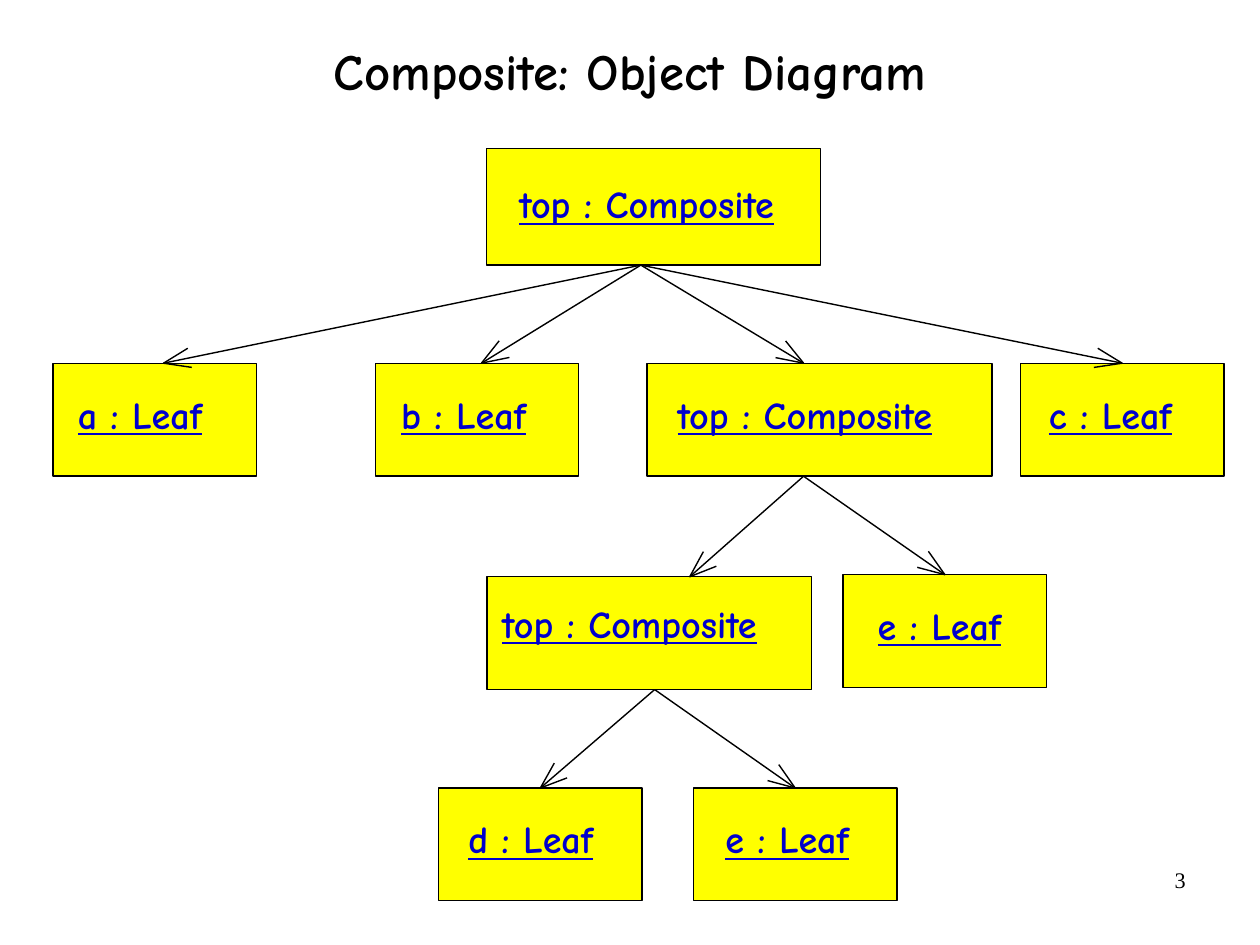
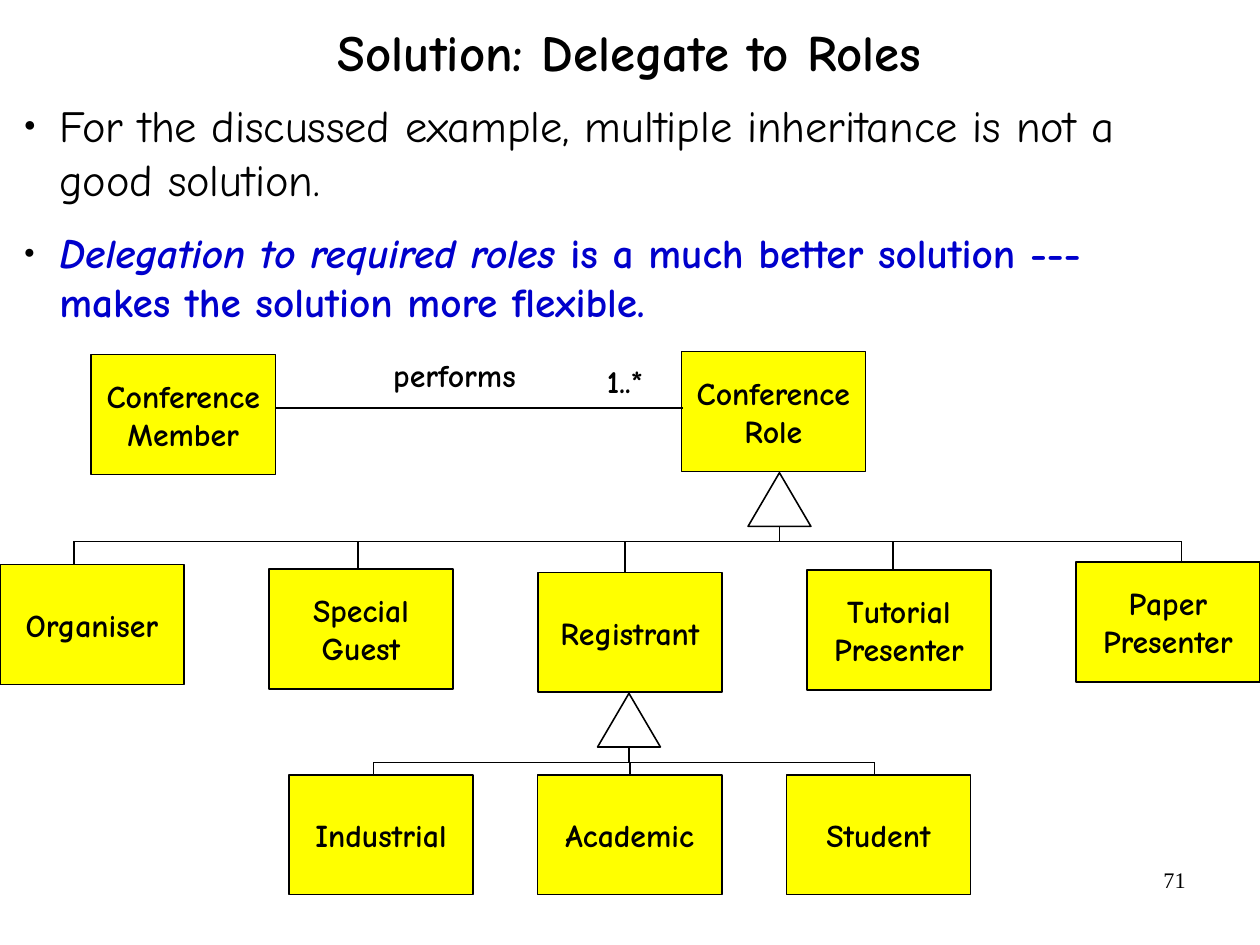
import math
from lxml import etree
from pptx import Presentation
from pptx.dml.color import RGBColor
from pptx.enum import shapes, text
from pptx.oxml import ns
from pptx.util import Pt

COLORS = {"ink": "000000", "accent": "0000CC", "box": "FFFF00", "paper": "FFFFFF"}
RGB = {name: RGBColor.from_string(value) for name, value in COLORS.items()}
FONT, NUMBER_FONT = "Comic Neue", "Times New Roman"
WIDTH, HEIGHT = 793.7, 595.28
LEFT, CENTER, RIGHT = text.PP_ALIGN.LEFT, text.PP_ALIGN.CENTER, text.PP_ALIGN.RIGHT
TOP, MIDDLE = text.MSO_ANCHOR.TOP, text.MSO_ANCHOR.MIDDLE
SNAP = 2  # a line this near to the middle of a side is joined to it


def label(slide, words, x, y, w, h, size, outline=None, color="ink", font=FONT,
          bold=True, underline=None, align=CENTER, anchor=MIDDLE,
          inset=(4, 4, 4, 4), spacing=None):
    """Text in a yellow rectangle if an outline width is given, else on its own."""
    place = [Pt(v) for v in (x, y, w, h)]
    if outline:
        holder = slide.shapes.add_shape(shapes.MSO_SHAPE.RECTANGLE, *place)
        holder.shadow.inherit = False
        holder.fill.solid()
        holder.fill.fore_color.rgb = RGB["box"]
        holder.line.color.rgb = RGB["ink"]
        holder.line.width = Pt(outline)
    else:
        holder = slide.shapes.add_textbox(*place)
    frame = holder.text_frame
    frame.text = words
    frame.word_wrap = True
    frame.vertical_anchor = anchor
    (frame.margin_left, frame.margin_top,
     frame.margin_right, frame.margin_bottom) = [Pt(v) for v in inset]
    for paragraph in frame.paragraphs:
        paragraph.alignment = align
        paragraph.line_spacing = spacing
        paragraph.font.name = font
        paragraph.font.size = Pt(size)
        paragraph.font.bold = bold
        paragraph.font.underline = underline
        paragraph.font.color.rgb = RGB[color]
    return holder


def line(slide, x1, y1, x2, y2, width):
    link = slide.shapes.add_connector(
        shapes.MSO_CONNECTOR.STRAIGHT, Pt(x1), Pt(y1), Pt(x2), Pt(y2))
    link.line.color.rgb = RGB["ink"]
    link.line.width = Pt(width)
    etree.SubElement(link._element.spPr, ns.qn("a:effectLst"))
    return link


deck = Presentation()
deck.slide_width, deck.slide_height = Pt(WIDTH), Pt(HEIGHT)

# Titles and page numbers
pages = []
for title, title_top, number in [("Composite: Object Diagram", 12, "3"),
                                 ("Solution: Delegate to Roles", 0, "71")]:
    page = deck.slides.add_slide(deck.slide_layouts[6])
    label(page, title, 0, title_top, WIDTH, 70, 32, spacing=0.88)
    label(page, number, 569, 542, 185, 41, 14, font=NUMBER_FONT, bold=False,
          align=RIGHT, anchor=TOP, inset=(7.2, 3.6, 7.2, 3.6))
    pages.append(page)
object_page, roles_page = pages

# Object diagram: key, words, left, top, width, height, text indent, text drop
LEAF_W, BOX_H = 128.2, 71
ROW_1, ROW_2, ROW_3 = 228.8, 362, 496.4
objects = {}
for key, words, x, y, w, h, indent, drop in [
    ("root", "top : Composite", 306.5, 93.5, 210.2, 73.4, 20.7, 23.6),
    ("a", "a : Leaf", 33.5, ROW_1, LEAF_W, BOX_H, 15.5, 20.9),
    ("b", "b : Leaf", 236.4, ROW_1, LEAF_W, BOX_H, 16.3, 20.9),
    ("branch", "top : Composite", 407.5, ROW_1, 217.4, BOX_H, 19.3, 20.9),
    ("c", "c : Leaf", 642.8, ROW_1, LEAF_W, BOX_H, 17.9, 20.9),
    ("twig", "top : Composite", 306.7, 363.3, 204.5, BOX_H, 9.7, 17.9),
    ("e", "e : Leaf", 531.1, ROW_2, LEAF_W, BOX_H, 21.7, 20.7),
    ("d", "d : Leaf", 276.3, ROW_3, LEAF_W, BOX_H, 18.7, 20.7),
    ("e2", "e : Leaf", 436.8, ROW_3, LEAF_W, BOX_H, 20.1, 20.7),
]:
    objects[key] = label(
        object_page, words, x, y, w, h, 24, outline=0.88, color="accent",
        underline=True, align=LEFT, anchor=TOP, inset=(indent, drop, 0, 0), spacing=0.9)

# Arrows from each composite to its children, with open heads
HEAD_LENGTH, HEAD_ANGLE = 18, math.radians(20)
for start_x, start_y, children in [
    (403.7, 167, [("a", 103), ("b", 303.3), ("branch", 506.2), ("c", 705.4)]),
    (506.2, 300, [("twig", 434.5), ("e", 594.7)]),
    (412.4, 434.4, [("d", 340.6), ("e2", 501)]),
]:
    for key, tip_x in children:
        child = objects[key]
        tip_y = child.top.pt
        middle = child.left.pt + child.width.pt / 2
        joined = abs(tip_x - middle) < SNAP
        if joined:
            tip_x = middle
        arrow = line(object_page, start_x, start_y, tip_x, tip_y, 0.88)
        if joined:
            arrow.end_connect(child, 0)
        back = math.atan2(start_y - tip_y, start_x - tip_x)
        barbs = [(Pt(tip_x + HEAD_LENGTH * math.cos(back + turn)),
                  Pt(tip_y + HEAD_LENGTH * math.sin(back + turn)))
                 for turn in (-HEAD_ANGLE, HEAD_ANGLE)]
        outline = object_page.shapes.build_freeform(*barbs[0])
        outline.add_line_segments([(Pt(tip_x), Pt(tip_y)), barbs[1]], close=False)
        head = outline.convert_to_shape()
        head.shadow.inherit = False
        head.fill.background()
        head.line.color.rgb = RGB["ink"]
        head.line.width = Pt(0.88)

# Bulleted argument
argument = roles_page.shapes.add_textbox(Pt(7.2), Pt(58.5), Pt(757.4), Pt(150.5)).text_frame
argument.word_wrap = True
argument.margin_left = argument.margin_right = Pt(7.9)
argument.margin_top = argument.margin_bottom = Pt(3.6)
points = [
    (28, "ink", False,
     [("For the discussed example, multiple inheritance is not a good solution.", False)]),
    (26, "accent", True,
     [("Delegation to required roles", True),
      (" is a much better solution --- makes the solution more flexible.", False)]),
]
for index, (size, color, bold, parts) in enumerate(points):
    point = argument.add_paragraph() if index else argument.paragraphs[0]
    point.space_after = Pt(13.8)
    props = point._p.get_or_add_pPr()
    props.set("marL", str(Pt(22.3)))
    props.set("indent", str(-Pt(22.3)))
    bullet_color = etree.SubElement(props, ns.qn("a:buClr"))
    etree.SubElement(bullet_color, ns.qn("a:srgbClr"), val=COLORS["ink"])
    etree.SubElement(props, ns.qn("a:buSzPct"), val="45000")
    etree.SubElement(props, ns.qn("a:buFont"), typeface=NUMBER_FONT)
    etree.SubElement(props, ns.qn("a:buChar"), char="●")
    point.font.name = FONT
    point.font.size = Pt(size)
    point.font.bold = bold
    point.font.color.rgb = RGB[color]
    for words, italic in parts:
        run = point.add_run()
        run.text = words
        if italic:
            run.font.italic = True

# Member performs roles
CLASS_W, CLASS_H = 116, 75.6
label(roles_page, "Conference\nMember", 57.5, 223.2, CLASS_W, CLASS_H, 20, outline=1)
label(roles_page, "Conference\nRole", 429.2, 221.5, CLASS_W, CLASS_H, 20, outline=1)
line(roles_page, 57.5 + CLASS_W, 257, 430.3, 257, 1)
for words, x, y, w in [("performs", 239.8, 220, 103), ("1..*", 374.4, 223.6, 56)]:
    label(roles_page, words, x, y, w, 32, 20, align=LEFT, anchor=TOP,
          inset=(7.9, 4.3, 7.9, 4.3))

# Inheritance trees: apex, bar height, first left, step, then name, top, drop line
TRIANGLE_W, TRIANGLE_H = 39.6, 33.8
for apex_x, apex_y, bar_y, first_x, step, subclasses in [
    (491, 297.8, 341.1, 0, (WIDTH - CLASS_W) / 4, [
        ("Organiser", 355.5, 46.6), ("Special\nGuest", 358.4, 225.4),
        ("Registrant", 360.5, 393.6), ("Tutorial\nPresenter", 359, 562.5),
        ("Paper\nPresenter", 354, 744.3)]),
    (396.2, 436.8, 480.2, 182, 156.7, [
        ("Industrial", 488, 235.4), ("Academic", 488, 396),
        ("Student", 488, 551)]),
]:
    triangle = roles_page.shapes.add_shape(
        shapes.MSO_SHAPE.ISOSCELES_TRIANGLE, Pt(apex_x - TRIANGLE_W / 2), Pt(apex_y),
        Pt(TRIANGLE_W), Pt(TRIANGLE_H))
    triangle.shadow.inherit = False
    triangle.fill.solid()
    triangle.fill.fore_color.rgb = RGB["paper"]
    triangle.line.color.rgb = RGB["ink"]
    triangle.line.width = Pt(1)
    line(roles_page, apex_x, apex_y + TRIANGLE_H, apex_x, bar_y, 1)
    drops = []
    for column, (name, y, drop_x) in enumerate(subclasses):
        x = first_x + column * step
        subclass = label(roles_page, name, x, y, CLASS_W, CLASS_H, 20, outline=1)
        middle = x + CLASS_W / 2
        joined = abs(drop_x - middle) < SNAP
        if joined:
            drop_x = middle
        drop = line(roles_page, drop_x, bar_y, drop_x, y, 1)
        if joined:
            drop.end_connect(subclass, 0)
        drops.append(drop_x)
    line(roles_page, drops[0], bar_y, drops[-1], bar_y, 1)

deck.save("out.pptx")
